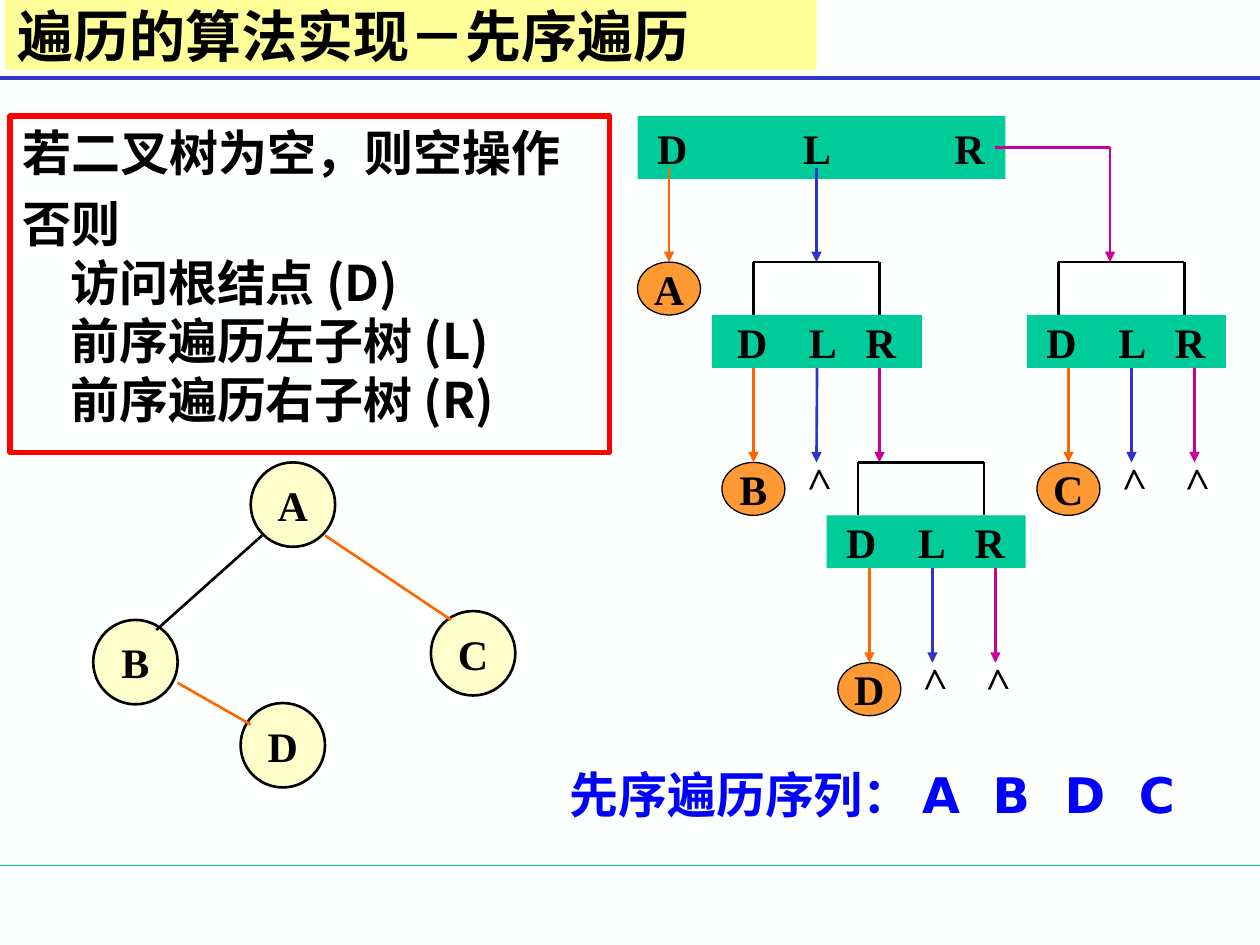
import pptx
import pptx.util
import pptx.dml.color
import pptx.enum.shapes
import pptx.enum.text
import pptx.oxml.ns
from lxml import etree

Inches, Pt = pptx.util.Inches, pptx.util.Pt
RGBColor = pptx.dml.color.RGBColor
SHAPE = pptx.enum.shapes.MSO_SHAPE
ANCHOR = pptx.enum.text.MSO_ANCHOR
ALIGN = pptx.enum.text.PP_ALIGN
qn = pptx.oxml.ns.qn

BLACK = RGBColor(0x00, 0x00, 0x00)
BACKDROP = RGBColor(0xFE, 0xFF, 0xFF)
GREEN = RGBColor(0x00, 0xCC, 0x99)
ORANGE = RGBColor(0xFF, 0x66, 0x00)
LEAF_ORANGE = RGBColor(0xFF, 0x99, 0x33)
NAVY = RGBColor(0x33, 0x33, 0xCC)
MAGENTA = RGBColor(0xCC, 0x00, 0x99)
CREAM = RGBColor(0xFF, 0xFF, 0xCC)
YELLOW = RGBColor(0xFF, 0xFF, 0x99)
RED = RGBColor(0xFF, 0x00, 0x00)
BLUE = RGBColor(0x00, 0x00, 0xFF)

SERIF, SANS, CHINESE = "Times New Roman", "DejaVu Sans", "Noto Sans CJK SC"
LETTER_WIDTH = 0.25


class TraversalSlide:
    def __init__(self, deck):
        self.page = deck.slides.add_slide(deck.slide_layouts[6])
        self.page.background.fill.solid()
        self.page.background.fill.fore_color.rgb = BACKDROP

    def line(self, x1, y1, x2, y2, color=BLACK, width=1.5, arrow=False,
             start=None, end=None):
        """Draw a line; start and end are optional (shape, site) pairs."""
        connector = self.page.shapes.add_connector(
            pptx.enum.shapes.MSO_CONNECTOR.STRAIGHT,
            Inches(x1), Inches(y1), Inches(x2), Inches(y2))
        if start:
            connector.begin_connect(*start)
        if end:
            connector.end_connect(*end)
        connector.line.color.rgb = color
        connector.line.width = Pt(width)
        properties = connector._element.spPr
        if arrow:
            tail = etree.SubElement(properties.find(qn("a:ln")), qn("a:tailEnd"))
            tail.set("type", "triangle")
        etree.SubElement(properties, qn("a:effectLst"))

    def shape(self, kind, left, top, width, height, fill=None, outline=None, weight=0.75):
        shape = self.page.shapes.add_shape(
            kind, Inches(left), Inches(top), Inches(width), Inches(height))
        shape.shadow.inherit = False
        if fill is None:
            shape.fill.background()
        else:
            shape.fill.solid()
            shape.fill.fore_color.rgb = fill
        if outline is None:
            shape.line.fill.background()
        else:
            shape.line.color.rgb = outline
            shape.line.width = Pt(weight)
        return shape

    def textbox(self, left, top, width, height):
        return self.page.shapes.add_textbox(
            Inches(left), Inches(top), Inches(width), Inches(height))

    def label(self, box, lines, size=24, font=SERIF, color=BLACK, align=ALIGN.LEFT,
              anchor=ANCHOR.MIDDLE, wrap=True, tabs=(), hanging=0, gap=0):
        frame = box.text_frame
        frame.word_wrap = wrap
        frame.vertical_anchor = anchor
        for index, line in enumerate(lines):
            para = frame.add_paragraph() if index else frame.paragraphs[0]
            para.text = line
            para.alignment = align
            if index:
                para.space_before = Pt(gap)
            properties = para._p.get_or_add_pPr()
            if hanging:
                properties.set("marL", str(Inches(hanging)))
                properties.set("indent", str(-Inches(hanging)))
            if tabs:
                stops = etree.SubElement(properties, qn("a:tabLst"))
                for stop in tabs:
                    etree.SubElement(stops, qn("a:tab"), pos=str(Inches(stop)), algn="l")
            for span in para.runs:
                span.font.size = Pt(size)
                span.font.bold = True
                span.font.name = font
                span.font.color.rgb = color
                east_asian = etree.SubElement(span._r.get_or_add_rPr(), qn("a:ea"))
                east_asian.set("typeface", CHINESE)

    def node(self, letter, left, top, width, height, fill, weight):
        circle = self.shape(SHAPE.OVAL, left, top, width, height, fill, BLACK, weight)
        self.label(circle, [letter], align=ALIGN.CENTER, wrap=False)
        return circle

    def steps(self, left, top, width, height, tabs):
        """Green bar with D, L and R spread over the tab stops."""
        bar = self.shape(SHAPE.RECTANGLE, left, top, width, height, GREEN)
        margin = (width - tabs[-1] - LETTER_WIDTH) / 2
        bar.text_frame.margin_left = Inches(margin)
        bar.text_frame.margin_right = 0
        self.label(bar, ["D\tL\tR"], tabs=tabs)
        return bar

    def leaf(self, letter, x, start_y, end_y):
        circle = self.node(letter, x - 0.25, end_y, 0.5, 0.42, LEAF_ORANGE, 0.75)
        self.line(x, start_y, x, end_y, ORANGE, arrow=True, end=(circle, 0))

    def empty(self, x, y):
        """Mark an empty subtree with an upturned angle sign."""
        mark = self.textbox(x - 0.21, y - 0.13, 0.42, 0.5)
        mark.rotation = 268.3
        self.label(mark, [">"], anchor=ANCHOR.TOP)

    def subtree(self, letter, bracket, top, bar_left, bar_width, arrows, has_right=False):
        bar_top, bottom, end = top + 0.42, top + 0.84, top + 1.59
        self.line(bracket, top, bracket + 1, top)
        for x in (bracket, bracket + 1):
            self.line(x, top, x, bar_top)
        bar = self.steps(bar_left, bar_top, bar_width, 0.42, (0.57, 1.02))
        self.leaf(letter, arrows, bottom, end)
        centred = abs(bar_left + bar_width / 2 - arrows - 0.5) < 0.01
        self.line(arrows + 0.5, bottom, arrows + 0.5, end, NAVY, arrow=True,
                  start=(bar, 2) if centred else None)
        self.empty(arrows + 0.5, end)
        self.line(arrows + 1, bottom, arrows + 1, end, MAGENTA, arrow=True)
        if not has_right:
            self.empty(arrows + 1, end)


def main():
    deck = pptx.Presentation()
    deck.slide_width, deck.slide_height = Inches(10), Inches(7.5)
    slide = TraversalSlide(deck)

    # Rules and title
    slide.line(0, 6.87, 10, 6.87, GREEN, 0.75)
    slide.line(0, 0.62, 10, 0.62, NAVY, 2.25)
    title = slide.shape(SHAPE.RECTANGLE, 0.04, 0, 6.44, 0.56, YELLOW)
    slide.label(title, ["遍历的算法实现－先序遍历"], 32, CHINESE)

    # Algorithm
    algorithm = slide.shape(SHAPE.RECTANGLE, 0.08, 0.92, 4.76, 2.67, None, RED, 3)
    slide.label(algorithm, [
        "若二叉树为空，则空操作",
        "否则\v访问根结点 (D)\v前序遍历左子树 (L)\v前序遍历右子树 (R)",
    ], 28, CHINESE, anchor=ANCHOR.TOP, hanging=0.38, gap=7)

    # Root call
    slide.steps(5.06, 0.92, 2.92, 0.5, (1.16, 2.36))
    slide.leaf("A", 5.31, 1.33, 2.08)
    slide.line(6.48, 1.33, 6.48, 2.08, NAVY, arrow=True)
    slide.line(7.9, 1.17, 8.81, 1.17, MAGENTA)
    slide.line(8.81, 1.17, 8.81, 2.08, MAGENTA, arrow=True)

    # Recursive calls
    slide.subtree("B", 5.98, 2.08, 5.65, 1.67, 5.98, has_right=True)
    slide.subtree("D", 6.81, 3.67, 6.56, 1.58, 6.9)
    slide.subtree("C", 8.4, 2.08, 8.15, 1.58, 8.48)

    # Binary tree
    for letter, left, top in (("A", 1.99, 3.67), ("D", 1.91, 5.58),
                              ("B", 0.74, 4.92), ("C", 3.42, 4.85)):
        slide.node(letter, left, top, 0.67, 0.67, CREAM, 1.5)
    slide.line(2.08, 4.25, 1.24, 5)
    slide.line(2.58, 4.25, 3.58, 4.92, ORANGE)
    slide.line(1.41, 5.42, 1.99, 5.75, ORANGE)

    # Resulting sequence
    sequence = slide.textbox(4.42, 6.02, 5.19, 0.57)
    slide.label(sequence, ["先序遍历序列：\tA\tB\tD\tC"], 28, SANS, BLUE,
                anchor=ANCHOR.TOP, tabs=(2.8, 3.36, 3.93, 4.52))

    deck.save("out.pptx")


if __name__ == "__main__":
    main()
